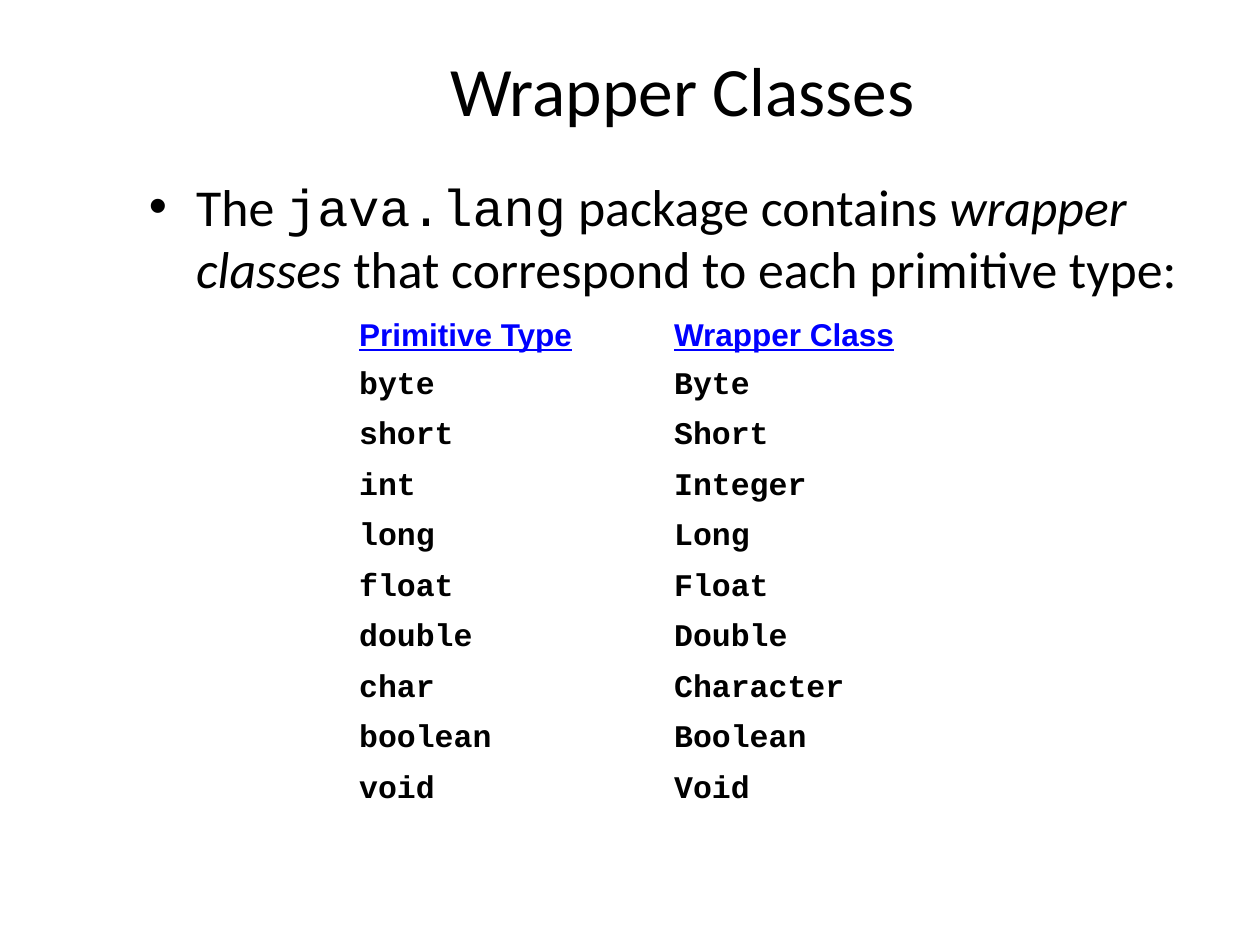
"""Build a slide that pairs Java primitive types with their wrapper classes."""
from typing import NamedTuple

from lxml.etree import SubElement
from pptx import Presentation
from pptx.dml.color import RGBColor
from pptx.enum.text import MSO_ANCHOR as Anchor, PP_ALIGN as Align
from pptx.oxml.ns import qn
from pptx.util import Pt

COLORS = {"text": "000000", "heading": "0000FF"}
ROW_HEIGHT = 28.8
COLUMN_WIDTHS = (180, 174)


class Pair(NamedTuple):
    primitive: str
    wrapper: str


class Phrase(NamedTuple):
    text: str
    font: str = "Calibri"
    italic: bool = False


PAIRS = (
    Pair("Primitive Type", "Wrapper Class"),
    Pair("byte", "Byte"),
    Pair("short", "Short"),
    Pair("int", "Integer"),
    Pair("long", "Long"),
    Pair("float", "Float"),
    Pair("double", "Double"),
    Pair("char", "Character"),
    Pair("boolean", "Boolean"),
    Pair("void", "Void"),
)
STATEMENT = (
    Phrase("The "),
    Phrase("java.lang", "Courier New"),
    Phrase(" package contains "),
    Phrase("wrapper classes", italic=True),
    Phrase(" that correspond to each primitive type:"),
)


def style(font, name: str, size: float, color: str = "text") -> None:
    """Set the typeface, size and colour of a font."""
    font.name = name
    font.size = Pt(size)
    font.color.rgb = RGBColor.from_string(COLORS[color])


def add_title(slide, text: str) -> None:
    """Place and format the title."""
    title = slide.shapes.title
    title.left, title.top, title.width, title.height = map(Pt, (78, 24, 624, 54))
    title.text_frame.text = text
    title.text_frame.vertical_anchor = Anchor.MIDDLE
    heading = title.text_frame.paragraphs[0]
    heading.alignment = Align.CENTER
    style(heading.font, "Calibri", 39.6)


def add_statement(slide, phrases: tuple[Phrase, ...]) -> None:
    """Add the bulleted sentence above the table."""
    frame = slide.shapes.add_textbox(*map(Pt, (78, 96, 612.5, 78.5))).text_frame
    frame.word_wrap = True
    sentence = frame.paragraphs[0]
    sentence.font.size = Pt(29.6)
    for phrase in phrases:
        run = sentence.add_run()
        run.text = phrase.text
        style(run.font, phrase.font, 29.6)
        run.font.italic = phrase.italic
    properties = sentence._p.get_or_add_pPr()
    properties.set("marL", str(Pt(27)))
    properties.set("indent", str(Pt(-27)))
    SubElement(properties, qn("a:buFont"), typeface="Arial")
    SubElement(properties, qn("a:buChar"), char="•")


def add_type_table(slide, pairs: tuple[Pair, ...]) -> None:
    """Add the table of types with an underlined heading row."""
    table = slide.shapes.add_table(
        len(pairs), len(COLUMN_WIDTHS), Pt(198), Pt(178),
        Pt(sum(COLUMN_WIDTHS)), Pt(ROW_HEIGHT * len(pairs)),
    ).table
    table.first_row = table.horz_banding = False
    for column, width in zip(table.columns, COLUMN_WIDTHS):
        column.width = Pt(width)
    for row_index, pair in enumerate(pairs):
        is_heading = row_index == 0
        table.rows[row_index].height = Pt(ROW_HEIGHT)
        for cell, text in zip(table.rows[row_index].cells, pair):
            cell.fill.background()
            cell.text = text
            font = cell.text_frame.paragraphs[0].font
            style(font, "Arial" if is_heading else "Courier New", 18,
                  "heading" if is_heading else "text")
            font.bold = True
            font.underline = is_heading


def main() -> None:
    """Create the presentation and save it."""
    deck = Presentation()
    deck.slide_width, deck.slide_height = Pt(720), Pt(540)
    slide = deck.slides.add_slide(deck.slide_layouts[5])
    add_title(slide, "Wrapper Classes")
    add_statement(slide, STATEMENT)
    add_type_table(slide, PAIRS)
    deck.save("out.pptx")


if __name__ == "__main__":
    main()
